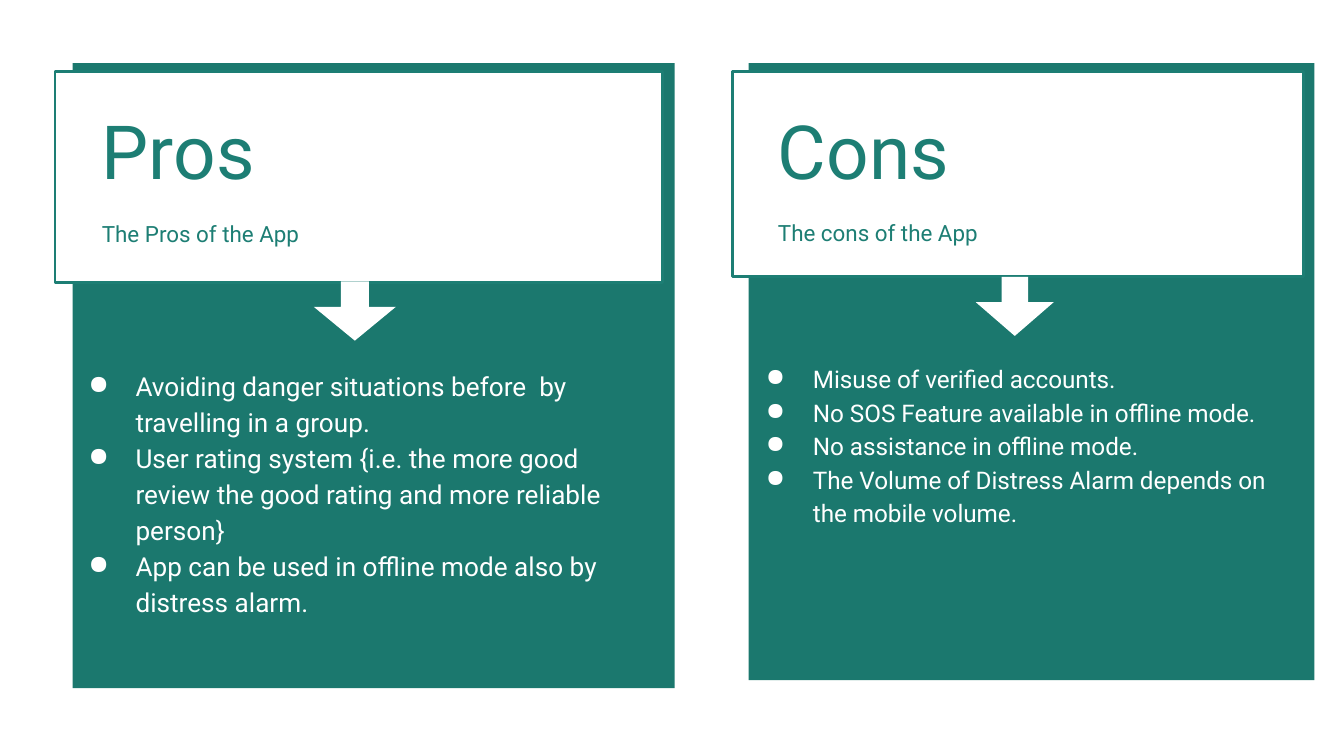
from lxml.etree import SubElement
from pptx import Presentation
from pptx.dml.color import RGBColor
from pptx.enum.shapes import MSO_SHAPE
from pptx.enum.text import MSO_ANCHOR, MSO_AUTO_SIZE
from pptx.oxml.ns import qn
from pptx.util import Inches, Pt

THEME = {
    "font": "Roboto",
    "panel": RGBColor.from_string("1B786E"),
    "accent": RGBColor.from_string("1D7E74"),
    "white": RGBColor.from_string("FFFFFF"),
    "title": 40,
    "subtitle": 12,
    "line": 1.5,
}

# Boxes are (left, top, width, height) in inches.
CARDS = [
    {
        "title": "Pros",
        "subtitle": "The Pros of the App",
        "points": [
            "Avoiding danger situations before  by travelling in a group.",
            "User rating system {i.e. the more good review the good rating and more reliable person}",
            "App can be used in offline mode also by distress alarm.",
        ],
        "size": 14,
        "panel": (0.54, 0.47, 4.48, 4.65),
        "header": (0.41, 0.53, 4.52, 1.57),
        "title_box": (0.66, 0.68, 4, 0.87),
        "subtitle_box": (0.66, 1.54, 4, 0.39),
        "arrow": (2.42, 2.01, 0.44, 0.61),
        "list": (0.41, 2.62, 4.48, 2.07),
    },
    {
        "title": "Cons",
        "subtitle": "The cons of the App",
        "points": [
            "Misuse of verified accounts.",
            "No SOS Feature available in offline mode.",
            "No assistance in offline mode.",
            "The Volume of Distress Alarm depends on the mobile volume.",
        ],
        "size": 13,
        "panel": (5.57, 0.47, 4.21, 4.59),
        "header": (5.45, 0.53, 4.25, 1.53),
        "title_box": (5.69, 0.68, 3.76, 0.87),
        "subtitle_box": (5.69, 1.53, 3.76, 0.39),
        "arrow": (7.33, 1.99, 0.44, 0.58),
        "list": (5.45, 2.58, 4.21, 1.44),
    },
]


def add_shape(group, kind, box, fill, line=None):
    sp = group.shapes.add_shape(kind, *map(Inches, box))
    sp.shadow.inherit = False
    sp.fill.solid()
    sp.fill.fore_color.rgb = fill
    if line is None:
        sp.line.fill.background()
    else:
        sp.line.color.rgb = line
        sp.line.width = Pt(THEME["line"])
    return sp


def add_bullet(p):
    """Give the paragraph a hanging round bullet."""
    pPr = p._p.get_or_add_pPr()
    pPr.set("marL", str(Inches(0.5)))
    pPr.set("indent", str(Inches(-0.35)))
    color = SubElement(pPr, qn("a:buClr"))
    SubElement(color, qn("a:srgbClr"), val=str(THEME["white"]))
    SubElement(pPr, qn("a:buChar"), char="●")


def add_text(group, box, lines, size, color, bullets=False):
    tf = group.shapes.add_textbox(*map(Inches, box)).text_frame
    tf.word_wrap = True
    tf.auto_size = MSO_AUTO_SIZE.SHAPE_TO_FIT_TEXT
    tf.vertical_anchor = MSO_ANCHOR.TOP
    tf.margin_left = tf.margin_right = Inches(0.1)
    tf.margin_top = tf.margin_bottom = Inches(0.1)
    for i, line in enumerate(lines):
        p = tf.add_paragraph() if i else tf.paragraphs[0]
        if bullets:
            p.line_spacing = 1.15
            add_bullet(p)
        r = p.add_run()
        r.text = line
        r.font.name = THEME["font"]
        r.font.size = Pt(size)
        r.font.color.rgb = color


def add_card(s, card):
    group = s.shapes.add_group_shape()
    accent, white = THEME["accent"], THEME["white"]
    add_shape(group, MSO_SHAPE.RECTANGLE, card["panel"], THEME["panel"])
    add_shape(group, MSO_SHAPE.RECTANGLE, card["header"], white, accent)
    for part in ("subtitle", "title"):
        add_text(group, card[part + "_box"], [card[part]], THEME[part], accent)
    arrow = add_shape(group, MSO_SHAPE.RIGHT_ARROW, card["arrow"], white)
    arrow.rotation = 90
    arrow.adjustments[0] = 0.34
    arrow.adjustments[1] = 0.57
    add_text(group, card["list"], card["points"], card["size"], white, bullets=True)


def main():
    prs = Presentation()
    prs.slide_width = Inches(10)
    prs.slide_height = prs.slide_width * 9 // 16
    s = prs.slides.add_slide(prs.slide_layouts[6])
    s.background.fill.solid()
    s.background.fill.fore_color.rgb = THEME["white"]
    for card in CARDS:
        add_card(s, card)
    prs.save("out.pptx")


if __name__ == "__main__":
    main()
